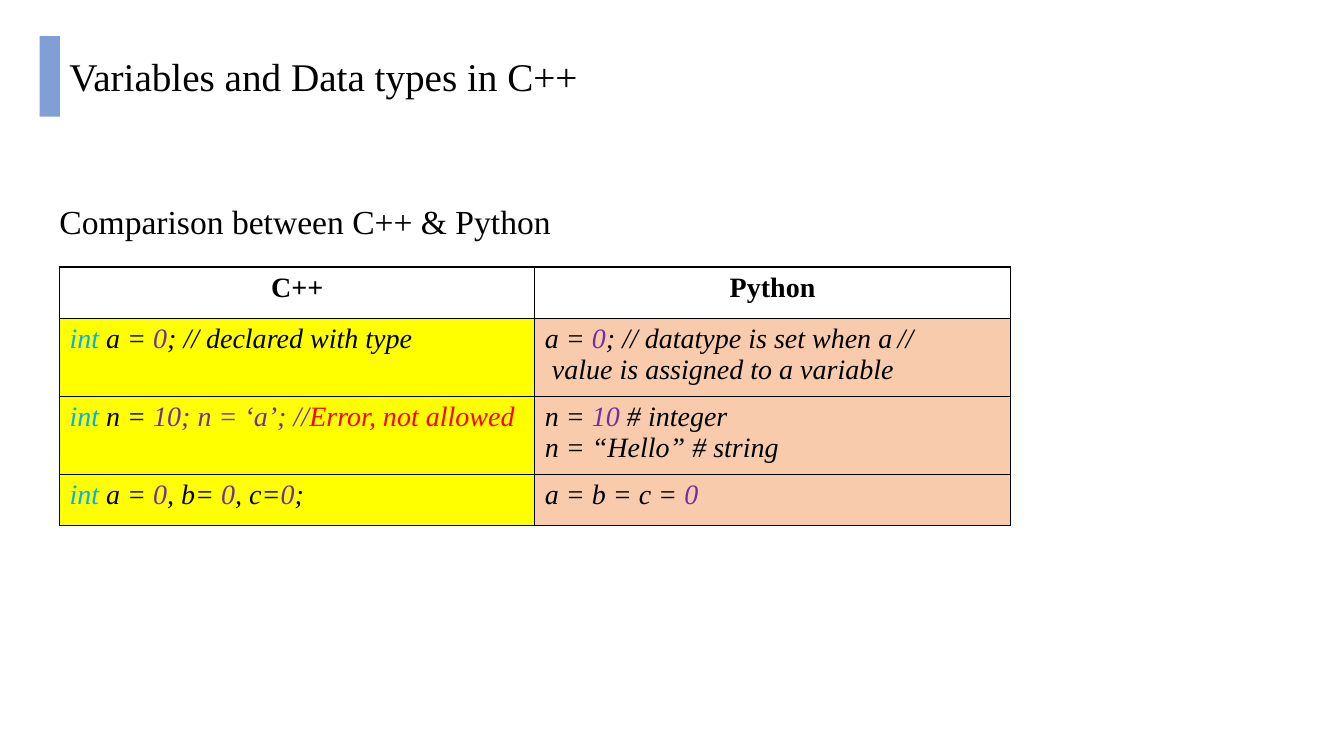
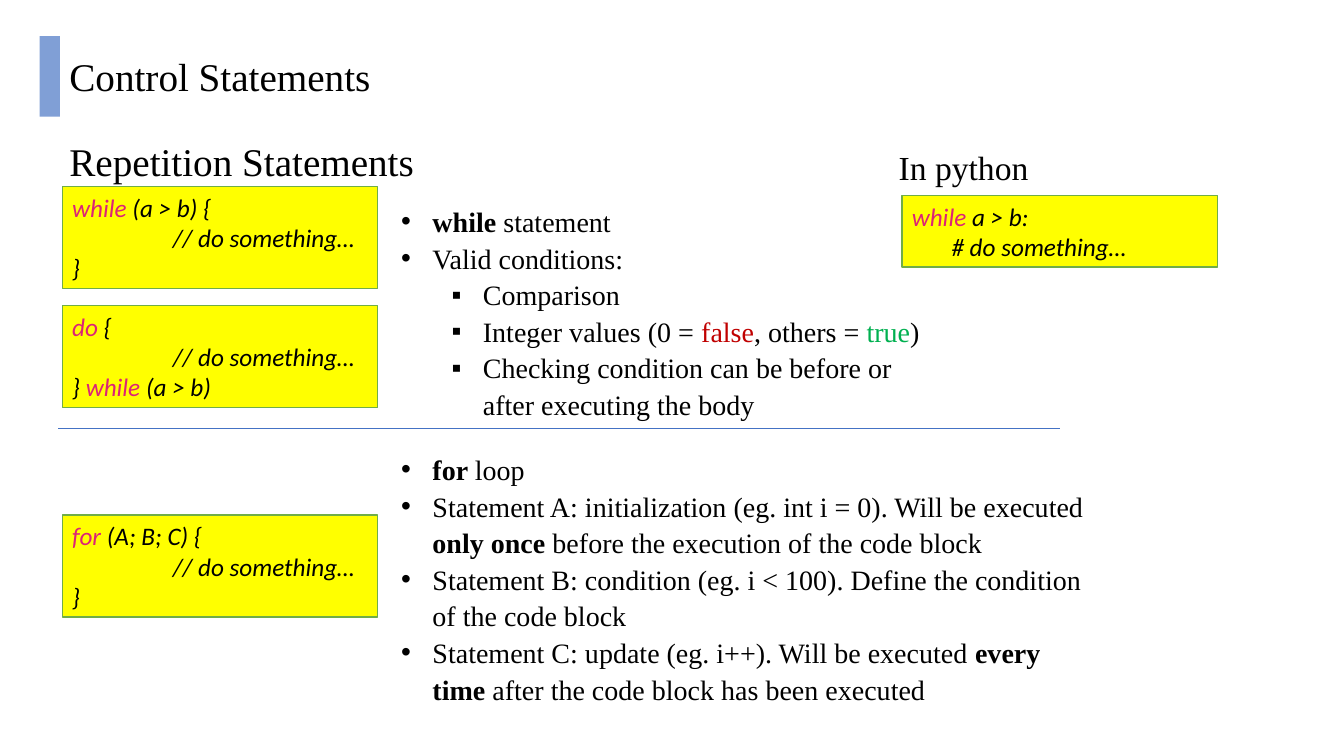
from dataclasses import dataclass

from lxml.etree import SubElement
from pptx import Presentation
from pptx.dml.color import RGBColor
from pptx.enum.shapes import MSO_CONNECTOR, MSO_SHAPE
from pptx.enum.text import MSO_ANCHOR, PP_ALIGN
from pptx.oxml.ns import qn
from pptx.slide import Slide
from pptx.table import _Cell
from pptx.text.text import TextFrame
from pptx.util import Cm, Pt

COLORS = {
    "accent": "4472C4", "black": "000000", "white": "FFFFFF",
    "yellow": "FFFF00", "peach": "F8CBAD", "green_border": "70AD47",
    "type": "00B0F0", "number": "7030A0", "error": "FF0000",
    "keyword": "DC2377", "false": "C00000", "true": "00B050",
}
SERIF, CODE = "Times New Roman", "Calibri"
BULLET_HANG = 0.79
CODE_WIDTH = 7.95


@dataclass(frozen=True)
class Run:
    text: str
    color: str = "black"
    bold: bool = False


@dataclass(frozen=True)
class Line:
    """A paragraph; lengths are in centimetres."""
    runs: tuple[Run, ...]
    indent: float = 0
    bullet: str = ""
    tab_stop: float = 0


@dataclass(frozen=True)
class Style:
    size: float
    font: str = SERIF
    bold: bool = False
    italic: bool = False
    align: PP_ALIGN = PP_ALIGN.LEFT
    spacing: float = 1.0


@dataclass(frozen=True)
class CodeBox:
    left: float
    top: float
    height: float
    lines: tuple[Line, ...]


TITLE = Style(28)
SUBTITLE = Style(24)
BODY = Style(20, spacing=1.09)
HEADER = Style(20, bold=True, align=PP_ALIGN.CENTER)
TABLE_CODE = Style(20, italic=True)
BOX_CODE = Style(18, CODE, italic=True)


def rgb(name: str) -> RGBColor:
    return RGBColor.from_string(COLORS[name])


def line(*parts: str | Run, indent: float = 0, bullet: str = "",
         tab_stop: float = 0) -> Line:
    runs = tuple(Run(part) if isinstance(part, str) else part for part in parts)
    return Line(runs, indent, bullet, tab_stop)


def point(*parts: str | Run) -> Line:
    return line(*parts, indent=BULLET_HANG, bullet="•")


def subpoint(*parts: str | Run) -> Line:
    return line(*parts, indent=2.06, bullet="▪")


def keyword(text: str) -> Run:
    return Run(text, "keyword")


def number(text: str) -> Run:
    return Run(text, "number")


def data_type(text: str) -> Run:
    return Run(text, "type")


def bold(text: str) -> Run:
    return Run(text, bold=True)


def write(frame: TextFrame, lines: tuple[Line, ...], style: Style) -> None:
    frame.word_wrap = True
    for position, content in enumerate(lines):
        paragraph = frame.add_paragraph() if position else frame.paragraphs[0]
        paragraph.alignment = style.align
        paragraph.line_spacing = style.spacing
        properties = paragraph._p.get_or_add_pPr()
        properties.set("marL", str(Cm(content.indent)))
        properties.set("indent", str(-Cm(BULLET_HANG) if content.bullet else 0))
        if content.bullet:
            SubElement(properties, qn("a:buFont"), typeface="Arial")
            SubElement(properties, qn("a:buChar"), char=content.bullet)
        if content.tab_stop:
            tabs = SubElement(properties, qn("a:tabLst"))
            SubElement(tabs, qn("a:tab"), pos=str(Cm(content.tab_stop)), algn="l")
        font = paragraph.font
        font.name, font.size = style.font, Pt(style.size)
        font.bold, font.italic = style.bold, style.italic
        font.color.rgb = rgb("black")
        for part in content.runs:
            run = paragraph.add_run()
            run.text = part.text
            if part.color != "black":
                run.font.color.rgb = rgb(part.color)
            if part.bold:
                run.font.bold = True


def add_text(slide: Slide, left: float, top: float, width: float, height: float,
             lines: tuple[Line, ...], style: Style) -> None:
    box = slide.shapes.add_textbox(Cm(left), Cm(top), Cm(width), Cm(height))
    write(box.text_frame, lines, style)


def add_titled_slide(deck: Presentation, title: str) -> Slide:
    slide = deck.slides.add_slide(deck.slide_layouts[6])
    band = slide.shapes.add_shape(
        MSO_SHAPE.RECTANGLE, Cm(1), Cm(0.91), Cm(0.51), Cm(2.03))
    band.shadow.inherit = False
    band.fill.solid()
    band.fill.fore_color.rgb = rgb("accent")
    band.line.fill.background()
    color = band._element.spPr.find(qn("a:solidFill")).find(qn("a:srgbClr"))
    SubElement(color, qn("a:alpha"), val="68000")
    add_text(slide, 1.5, 1.19, 16, 1.45, (line(title),), TITLE)
    return slide


def add_code_box(slide: Slide, code: CodeBox) -> None:
    box = slide.shapes.add_shape(MSO_SHAPE.RECTANGLE, Cm(code.left), Cm(code.top),
                                 Cm(CODE_WIDTH), Cm(code.height))
    box.shadow.inherit = False
    box.fill.solid()
    box.fill.fore_color.rgb = rgb("yellow")
    box.line.color.rgb = rgb("green_border")
    box.line.width = Pt(1)
    box.text_frame.vertical_anchor = MSO_ANCHOR.MIDDLE
    write(box.text_frame, code.lines, BOX_CODE)


def add_divider(slide: Slide, left: float, right: float, top: float) -> None:
    divider = slide.shapes.add_connector(
        MSO_CONNECTOR.STRAIGHT, Cm(left), Cm(top), Cm(right), Cm(top))
    divider.line.color.rgb = rgb("accent")
    divider.line.width = Pt(0.5)
    SubElement(divider._element.spPr, qn("a:effectLst"))


def format_cell(cell: _Cell, fill: str) -> None:
    properties = cell._tc.get_or_add_tcPr()
    for side in ("lnL", "lnR", "lnT", "lnB"):
        border = SubElement(properties, qn(f"a:{side}"), w=str(Pt(1)))
        solid = SubElement(border, qn("a:solidFill"))
        SubElement(solid, qn("a:srgbClr"), val=COLORS["black"])
    cell.fill.solid()
    cell.fill.fore_color.rgb = rgb(fill)


def add_comparison(slide: Slide, rows: tuple) -> None:
    """Draw a two-column table whose first row is the header."""
    heights = (1.3, 1.96, 1.96, 1.3)
    column_width = 11.98
    table = slide.shapes.add_table(
        len(rows), 2, Cm(1.5), Cm(6.73), Cm(2 * column_width), Cm(sum(heights))).table
    table.first_row = table.horz_banding = False
    for column in table.columns:
        column.width = Cm(column_width)
    for r, (row, height) in enumerate(zip(rows, heights)):
        table.rows[r].height = Cm(height)
        for c, lines in enumerate(row):
            cell = table.cell(r, c)
            format_cell(cell, ("yellow", "peach")[c] if r else "white")
            write(cell.text_frame, lines, TABLE_CODE if r else HEADER)


COMPARISON = (
    ((line("C++"),), (line("Python"),)),
    ((line(data_type("int"), " a = ", number("0"), "; // declared with type"),),
     (line("a = ", number("0"), "; // datatype is set when a\t//", tab_stop=10.87),
      line(" value is assigned to a variable"))),
    ((line(data_type("int "), "n = ", number("10; n = ‘a’; //"),
           Run("Error, not allowed", "error")),),
     (line("n = ", number("10"), " # integer"), line("n = “Hello” # string"))),
    ((line(data_type("int"), " a = ", number("0"), ", b= ", number("0"),
           ", c=", number("0"), ";"),),
     (line("a = b = c = ", number("0")),)),
)

LOOP_BODY = line("// do something…", indent=2.54)
CODE_BOXES = (
    CodeBox(1.57, 4.7, 2.57,
            (line(keyword("while"), " (a > b) {"), LOOP_BODY, line("}"))),
    CodeBox(1.57, 7.7, 2.57,
            (line(keyword("do"), " {"), LOOP_BODY,
             line("} ", keyword("while"), " (a > b)"))),
    CodeBox(1.57, 12.98, 2.57,
            (line(keyword("for"), " (A; B; C) {"), LOOP_BODY, line("}"))),
    CodeBox(22.73, 4.93, 1.8,
            (line(keyword("while"), " a > b:"), line("# do something…", indent=1))),
)

WHILE_POINTS = (
    point(bold("while "), "statement"),
    point("Valid conditions:"),
    subpoint("Comparison"),
    subpoint("Integer values (0 = ", Run("false", "false"), ", others = ",
             Run("true", "true"), ")"),
    subpoint("Checking condition can be before or after executing the body"),
)
FOR_POINTS = (
    point(bold("for "), "loop"),
    point("Statement A: initialization (eg. int i = 0). Will be executed ",
          bold("only once "), "before the execution of the code block"),
    point("Statement B: condition (eg. i < 100). Define the condition of the code block"),
    point("Statement C: update (eg. i++). Will be executed ", bold("every time"),
          " after the code block has been executed"),
)


def build_data_types(deck: Presentation) -> None:
    slide = add_titled_slide(deck, "Variables and Data types in C++")
    add_text(slide, 1.25, 4.95, 26, 1.28,
             (line("Comparison between C++ & Python"),), SUBTITLE)
    add_comparison(slide, COMPARISON)


def build_control_statements(deck: Presentation) -> None:
    slide = add_titled_slide(deck, "Control Statements")
    add_text(slide, 1.5, 3.33, 20, 1.45, (line("Repetition Statements"),), TITLE)
    add_text(slide, 22.4, 3.58, 8, 1.28, (line("In python"),), SUBTITLE)
    for code in CODE_BOXES:
        add_code_box(slide, code)
    add_text(slide, 9.86, 4.95, 14.17, 5.4, WHILE_POINTS, BODY)
    add_divider(slide, 1.47, 26.72, 10.8)
    add_text(slide, 9.86, 11.2, 17.88, 6.25, FOR_POINTS, BODY)


def main() -> None:
    deck = Presentation()
    deck.slide_width, deck.slide_height = Cm(33.87), Cm(19.05)
    build_data_types(deck)
    build_control_statements(deck)
    deck.save("out.pptx")


if __name__ == "__main__":
    main()
